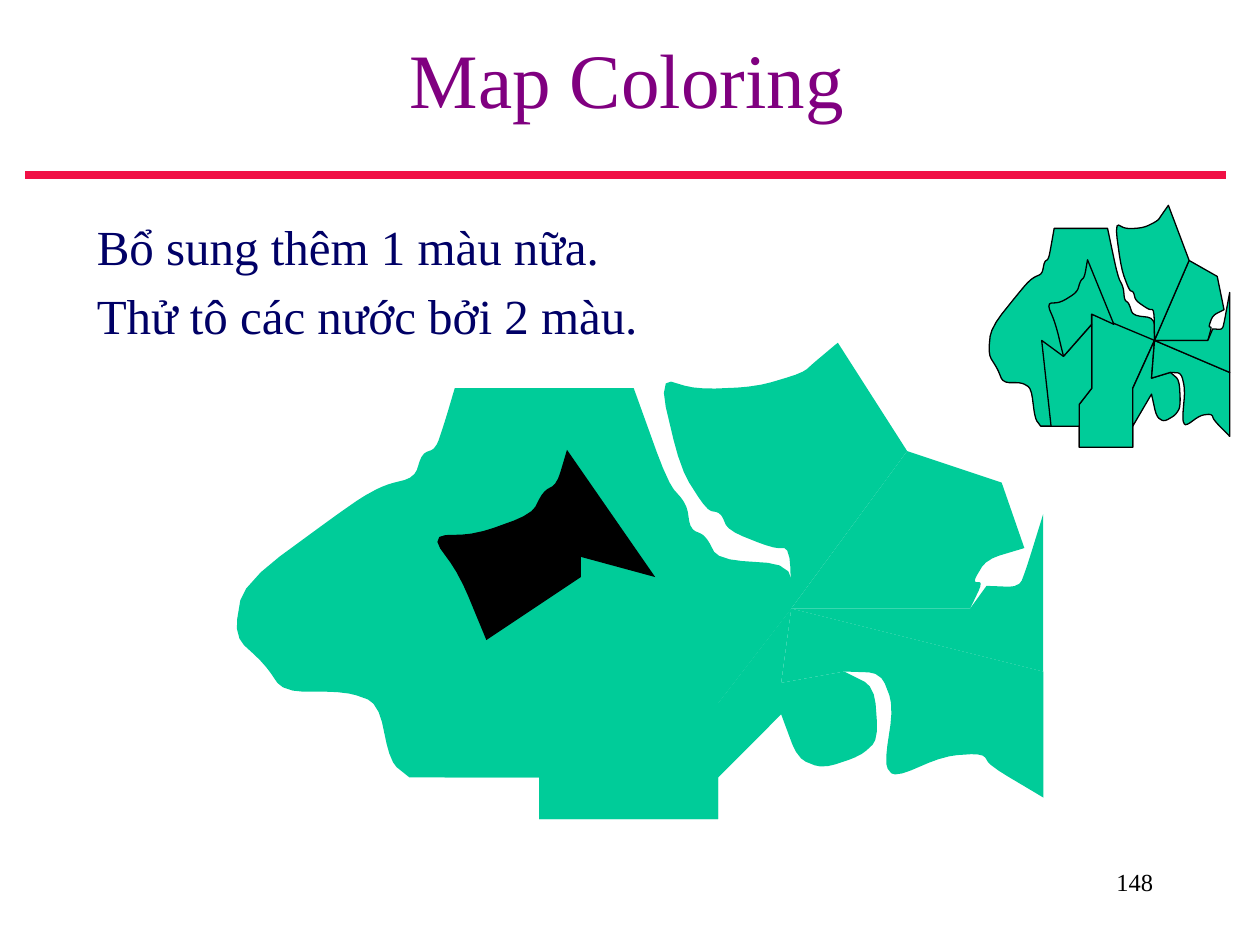
"""Build the map coloring slide with one set of regions drawn at two sizes."""
from lxml.etree import SubElement
from pptx import Presentation
from pptx.dml.color import RGBColor
from pptx.enum.shapes import MSO_CONNECTOR
from pptx.enum.text import MSO_ANCHOR, PP_ALIGN
from pptx.oxml.ns import qn
from pptx.util import Inches, Pt

TITLE = "Map Coloring"
BODY = ["Bổ sung thêm 1 màu nữa.", "Thử tô các nước bởi 2 màu."]
NUMBER = "148"
FONT = "Times New Roman"
GREEN, BLACK, RED = "00CC99", "000000", "F01045"
PURPLE, NAVY = "800080", "000066"

HUB, NECK, FOOT, SOLE = (6.28, 4.83), (5.7, 5.58), (5.7, 6.5), (4.28, 6.5)
LOW, DIP, BEND = (4.28, 6.17), (4.28, 5.83), (4.61, 5.58)
PEAK, NOTCH, TIP = (4.61, 4.42), (4.61, 4.58), (3.86, 5.08)
BANK, BORDER, CAPE = (7.7, 4.83), (8.28, 5.33), (7.2, 3.58)
LIP, COVE = (6.7, 5.33), (6.2, 5.42)

OCEAN = [(3.61, 3.08), (3.53, 3.35), (3.46, 3.56), (3.35, 3.6), (3.29, 3.79),
         (3.05, 3.85), (2.83, 3.97), (1.93, 4.63), (1.86, 5.05), (2.1, 5.27),
         (2.25, 5.49), (2.75, 5.49), (3, 5.58), (3.1, 6.05), (3.25, 6.17)]
GULF = [HUB, (6.28, 4.48), (5.7, 4.44), (5.6, 4.25), (5.48, 4.2), (5.45, 4),
        (5.3, 3.83), (5.03, 3.08)]
RIDGE = [TIP, (3.65, 4.57), (3.42, 4.25), (3.78, 4.24), (4.22, 4.08),
         (4.31, 3.9), (4.42, 3.84), (4.5, 3.57)]
POND = [(6.2, 5.67), (6.33, 6.02), (6.53, 6.1), (6.83, 6), (6.97, 5.87),
        (6.94, 5.45), LIP]
CLIFF = [(8.28, 6.33), (7.86, 6.08), (7.8, 5.98), (7.5, 6), (7.1, 6.17),
         (7.02, 6.07), (7.09, 5.6), (6.99, 5.34), LIP]
CREEK = [BANK, (7.8, 4.62), (7.72, 4.62), (7.83, 4.44), (8.13, 4.35)]
DELTA = [(8.28, 4.08), (8.15, 4.5), (8.09, 4.66), (7.83, 4.65)]
STRAIT = [HUB, (6.27, 4.35), (6.13, 4.35), (5.78, 4.21), (5.72, 4.07),
          (5.61, 4.05), (5.4, 3.72), (5.23, 3), (5.53, 3.09), (6, 3.07),
          (6.37, 2.96), (6.47, 2.87), (6.65, 2.72)]


def soften(shore):
    for _ in range(2):
        bends = [shore[0]]
        for (ax, ay), (bx, by) in zip(shore, shore[1:]):
            bends += [(ax + (bx - ax) * t, ay + (by - ay) * t) for t in (0.2, 0.8)]
        shore = bends + [shore[-1]]
    return shore


WEST = soften(OCEAN) + [LOW, SOLE, FOOT, NECK] + soften(GULF)
SOUTH = [SOLE, DIP, BEND, PEAK, HUB, NECK, FOOT]
INNER = [(3.53, 6.17), (3.28, 4.83), TIP, NOTCH, BEND, DIP, LOW]
CENTER = soften(RIDGE) + [(5.2, 4.58), PEAK, NOTCH]
BAY = [(5.7, 6.17)] + soften(POND) + [COVE, HUB, NECK]
COAST = [HUB, BORDER] + soften(CLIFF) + [COVE]
EAST = [HUB] + soften(CREEK) + [(7.95, 3.83), CAPE]
EDGE = [BANK, HUB, BORDER] + soften(DELTA)
NORTH = soften(STRAIT) + [CAPE]
REGIONS = [WEST, SOUTH, INNER, CENTER, BAY, COAST, EAST, EDGE, NORTH]
LARGE = (1.88, 2.72, 8.28, 6.5)
SMALL = (7.85, 1.63, 9.76, 3.55)


def color(code):
    return RGBColor.from_string(code)


def add_text(slide, lines, box, size, ink, align=PP_ALIGN.LEFT,
             anchor=MSO_ANCHOR.TOP, gap=0):
    frame = slide.shapes.add_textbox(*map(Inches, box)).text_frame
    frame.word_wrap = True
    frame.vertical_anchor = anchor
    for row, line in enumerate(lines):
        para = frame.paragraphs[0] if row == 0 else frame.add_paragraph()
        para.alignment = align
        if row:
            para.space_before = Pt(gap)
        run = para.add_run()
        run.text = line
        run.font.name, run.font.size = FONT, Pt(size)
        run.font.color.rgb = color(ink)


def add_map(slide, frame, fills, outline=None):
    left, top, right, bottom = frame
    wide = (right - left) / (LARGE[2] - LARGE[0])
    high = (bottom - top) / (LARGE[3] - LARGE[1])
    for region, fill in zip(REGIONS, fills):
        points = [(Inches(left + (x - LARGE[0]) * wide),
                   Inches(top + (y - LARGE[1]) * high)) for x, y in region]
        path = slide.shapes.build_freeform(*points[0])
        path.add_line_segments(points[1:], close=True)
        shape = path.convert_to_shape()
        shape.shadow.inherit = False
        shape.fill.solid()
        shape.fill.fore_color.rgb = color(fill)
        if outline:
            shape.line.color.rgb = color(outline)
            shape.line.width = Pt(0.75)
        else:
            shape.line.fill.background()


def add_rule(slide, left, right, y):
    rule = slide.shapes.add_connector(
        MSO_CONNECTOR.STRAIGHT, Inches(left), Inches(y), Inches(right), Inches(y))
    rule.line.color.rgb = color(RED)
    rule.line.width = Pt(4.5)
    SubElement(rule._element.spPr, qn("a:effectLst"))


def main():
    deck = Presentation()
    deck.slide_width, deck.slide_height = Inches(10), Inches(7.5)
    slide = deck.slides.add_slide(deck.slide_layouts[6])
    add_rule(slide, 0.2, 9.73, 1.39)
    add_text(slide, [NUMBER], (7.17, 6.83, 2.08, 0.5), 14, BLACK, PP_ALIGN.RIGHT)
    add_text(slide, [TITLE], (0.2, 0, 9.55, 1.23), 44, PURPLE, PP_ALIGN.CENTER,
             MSO_ANCHOR.MIDDLE)
    add_text(slide, BODY, (0.67, 1.67, 8.5, 4.5), 28, NAVY, gap=5.6)
    add_map(slide, LARGE, [BLACK if region is CENTER else GREEN for region in REGIONS])
    add_map(slide, SMALL, [GREEN] * len(REGIONS), BLACK)
    deck.save("out.pptx")


if __name__ == "__main__":
    main()
